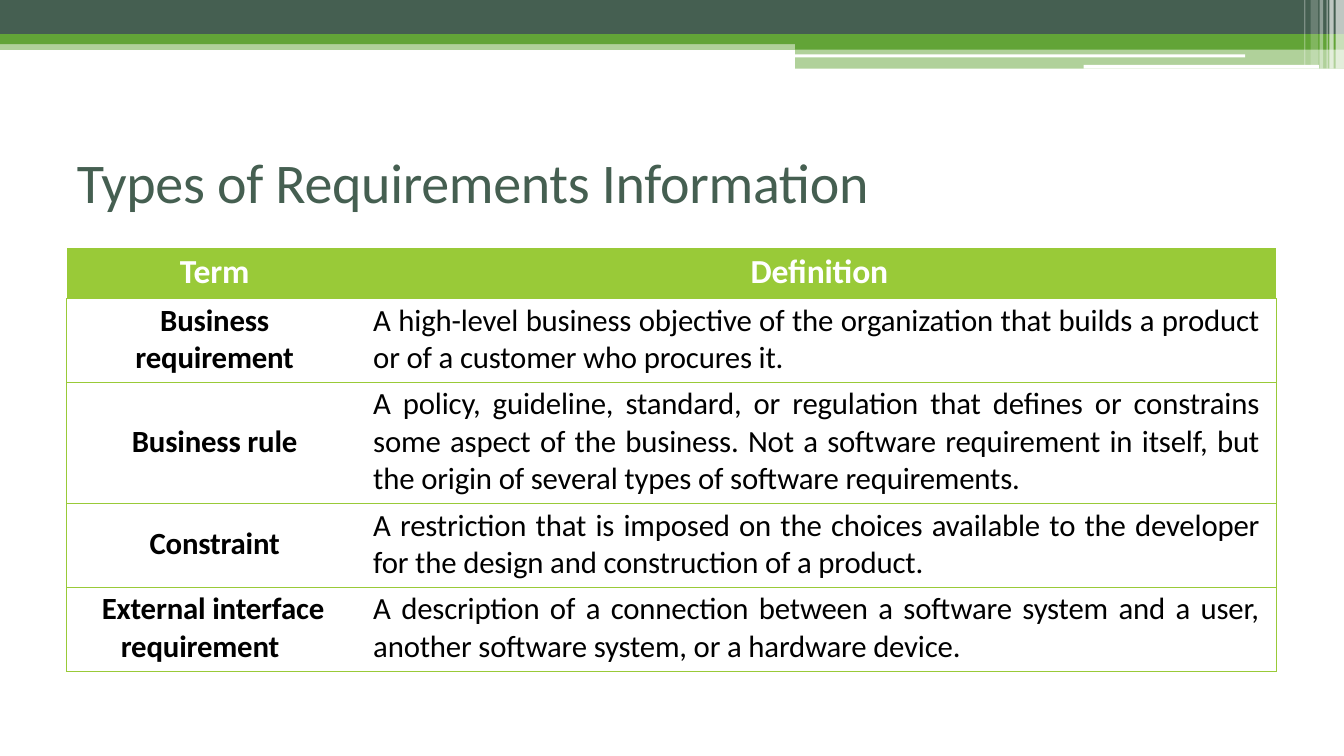
from lxml import etree
from pptx import Presentation
from pptx.dml import color
from pptx.enum import shapes, text
from pptx.oxml import ns
from pptx.util import Pt

FONT = "Calibri"
WHITE, DARK, GREEN, LIME = "FFFFFF", "455F51", "62A437", "99CA38"
ROWS = [
    ("Term", "Definition"),
    ("Business\nrequirement",
     "A high-level business objective of the organization that builds a product "
     "or of a customer who procures it."),
    ("Business rule",
     "A policy, guideline, standard, or regulation that defines or constrains "
     "some aspect of the business. Not a software requirement in itself, but "
     "the origin of several types of software requirements."),
    ("Constraint",
     "A restriction that is imposed on the choices available to the developer "
     "for the design and construction of a product."),
    ("External interface requirement",
     "A description of a connection between a software system and a user, "
     "another software system, or a hardware device."),
]


def rgb(value):
    return color.RGBColor.from_string(value)


def paint(shape, fill, opacity=100):
    shape.shadow.inherit = False
    shape.line.fill.background()
    shape.fill.solid()
    shape.fill.fore_color.rgb = rgb(fill)
    if opacity < 100:
        tone = shape.fill._xPr.find(".//" + ns.qn("a:srgbClr"))
        etree.SubElement(tone, ns.qn("a:alpha"), val=str(opacity * 1000))


def style(paragraph, size, tone, bold, spacing):
    paragraph.font.name = FONT
    paragraph.font.size = Pt(size)
    paragraph.font.bold = bold
    paragraph.font.color.rgb = rgb(tone)
    for run in paragraph.runs:
        run._r.get_or_add_rPr().set("spc", str(round(spacing * 100)))


def indent(paragraph, left, first=0):
    properties = paragraph._p.get_or_add_pPr()
    properties.set("marL", str(Pt(left)))
    properties.set("indent", str(Pt(first)))


def add_ribbon(slide, left, top, width):
    def band(x, y, w, h, fill, opacity=100):
        strip = slide.shapes.add_shape(
            shapes.MSO_SHAPE.RECTANGLE, Pt(left + x), Pt(top + y), Pt(w), Pt(h))
        paint(strip, fill, opacity)

    step = 568
    band(0, 31.6, step, 4, GREEN, 50)
    band(0, 0, width, 24.4, DARK)
    outline = [(0, 24.4), (0, 31.6), (step, 31.6), (step, 35.5), (width, 35.5), (width, 24.4)]
    points = [(Pt(left + x), Pt(top + y)) for x, y in outline]
    builder = slide.shapes.build_freeform(*points[0], scale=1.0)
    builder.add_line_segments(points[1:], close=True)
    paint(builder.convert_to_shape(), GREEN)
    band(step, 35, width - step, 14, GREEN, 50)
    band(step, 38.9, 321.4, 2.2, WHITE)
    band(774, 46.4, 168.2, 2.6, WHITE)
    for x, w, h, opacity in [
        (949.6, 3, 49, 65), (954, 6, 49, 65), (947.6, 0.8, 49, 60),
        (942.6, 2.6, 49, 40), (936.2, 5.4, 46.4, 20), (931.6, 0.9, 46.4, 30),
    ]:
        band(x, 0, w, h, WHITE, opacity)


def add_title(slide, left, top, width, height):
    title = slide.shapes.title
    title.left, title.top, title.width, title.height = map(Pt, (left, top, width, height))
    frame = title.text_frame
    frame.text = "Types of Requirements Information"
    frame.auto_size = text.MSO_AUTO_SIZE.NONE
    frame.word_wrap = True
    frame.vertical_anchor = text.MSO_ANCHOR.TOP
    frame.margin_left = frame.margin_right = frame.margin_bottom = 0
    frame.margin_top = Pt(0.9)
    heading = frame.paragraphs[0]
    heading.alignment = text.PP_ALIGN.LEFT
    indent(heading, 0.9)
    style(heading, 40, DARK, False, -0.2)


def border(cell, sides):
    properties = cell._tc.get_or_add_tcPr()
    for side in "LRTB":
        edge = etree.SubElement(properties, ns.qn("a:ln" + side), w=str(Pt(0.5)))
        if side in sides:
            fill = etree.SubElement(edge, ns.qn("a:solidFill"))
            etree.SubElement(fill, ns.qn("a:srgbClr"), val=LIME)
        else:
            etree.SubElement(edge, ns.qn("a:noFill"))


def fill_cell(cell, wording, is_header, is_term):
    border(cell, "" if is_header else "LTB" if is_term else "RTB")
    if is_header:
        cell.fill.solid()
        cell.fill.fore_color.rgb = rgb(LIME)
    else:
        cell.fill.background()
    is_definition = not (is_header or is_term)
    cell.margin_left = cell.margin_top = 0
    cell.margin_right = Pt(12 if is_definition else 0)
    cell.margin_bottom = Pt(1.5)
    cell.vertical_anchor = text.MSO_ANCHOR.MIDDLE
    cell.text_frame.text = wording
    for paragraph in cell.text_frame.paragraphs:
        if is_definition:
            paragraph.alignment = text.PP_ALIGN.JUSTIFY
            indent(paragraph, 16.6)
        elif wording.startswith("External"):
            paragraph.alignment = text.PP_ALIGN.LEFT
            indent(paragraph, 38.6, -13.6)
        else:
            paragraph.alignment = text.PP_ALIGN.CENTER
            indent(paragraph, 9)
        style(paragraph, 24 if is_header else 22, WHITE if is_header else "000000",
              not is_definition, -0.1)


def add_terms(slide, left, top, width, height):
    frame = slide.shapes.add_table(len(ROWS), 2, Pt(left), Pt(top), Pt(width), Pt(height))
    terms = frame.table
    terms.first_row = terms.horz_banding = False
    term_width = 202.3
    for column, size in zip(terms.columns, (term_width, width - term_width)):
        column.width = Pt(size)
    for row, size in zip(terms.rows, (36, 60, 86.4, 60, 60)):
        row.height = Pt(size)
    for r, entry in enumerate(ROWS):
        for c, wording in enumerate(entry):
            fill_cell(terms.cell(r, c), wording, r == 0, c == 0)


def main():
    deck = Presentation()
    deck.slide_width, deck.slide_height = Pt(960), Pt(540)
    slide = deck.slides.add_slide(deck.slide_layouts[5])
    add_ribbon(slide, 0, 0, 960)
    add_title(slide, 54, 104.4, 574.6, 49.7)
    add_terms(slide, 47.7, 177.1, 864, 302.4)
    deck.save("out.pptx")


if __name__ == "__main__":
    main()
